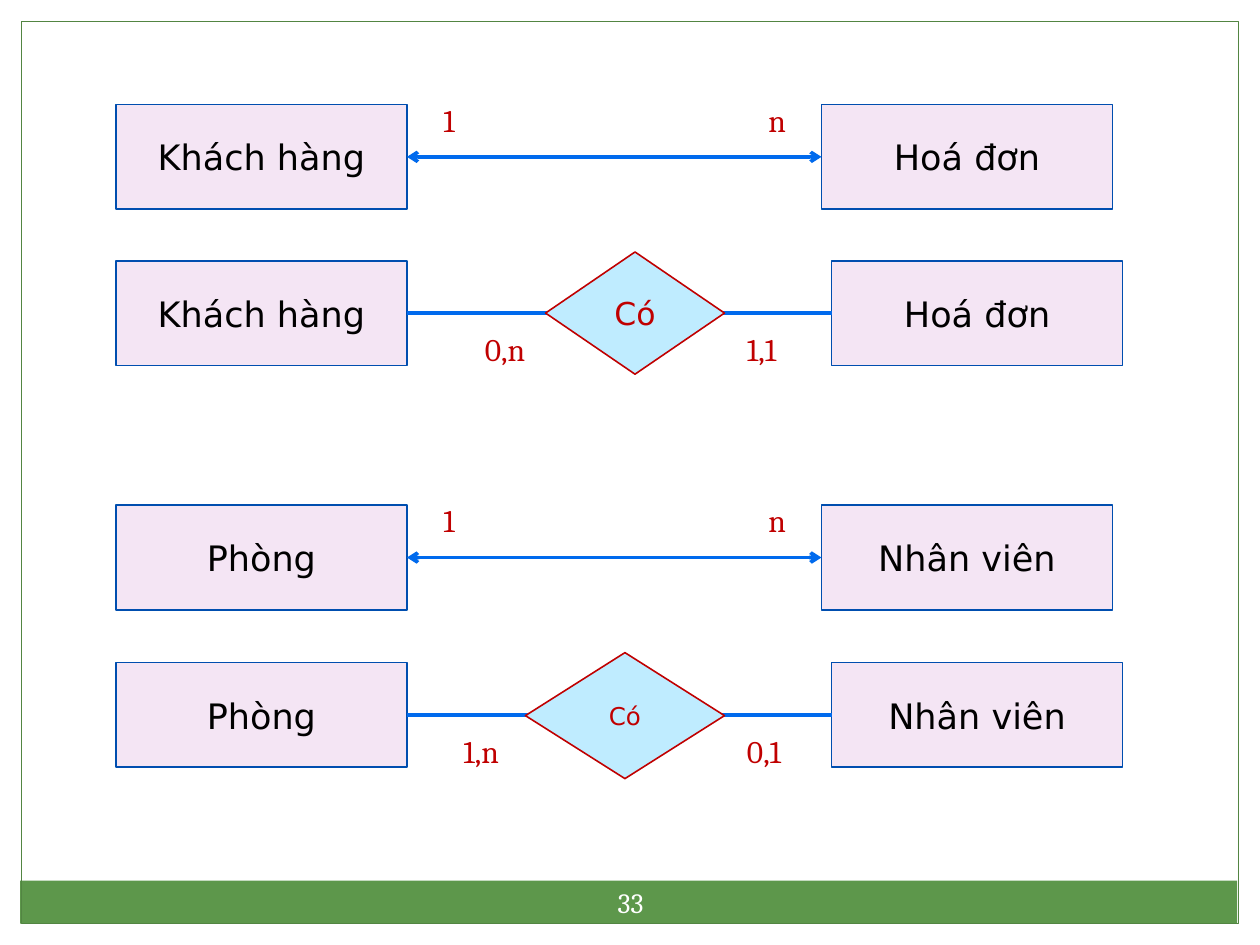
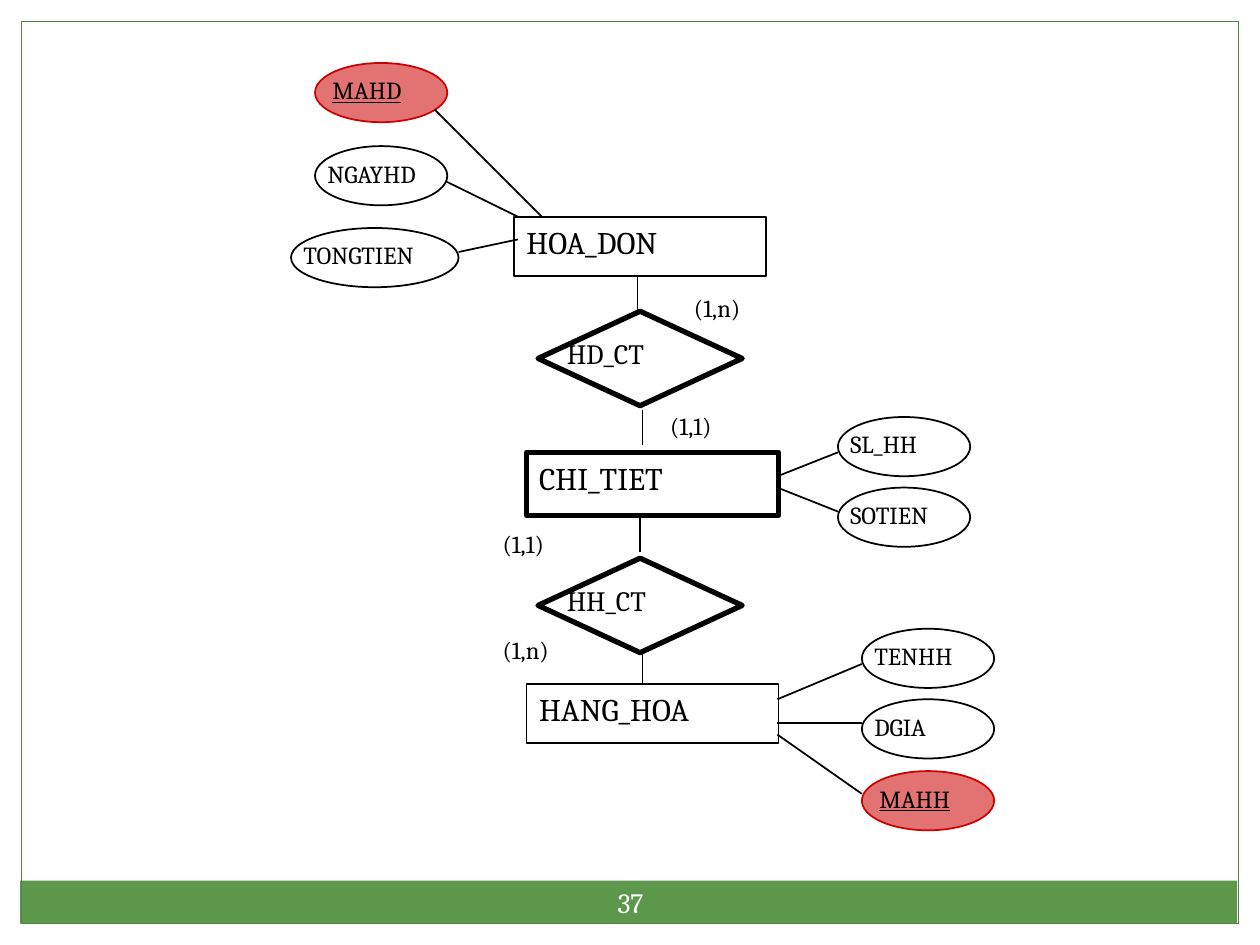
import pptx
import pptx.dml.color
import pptx.enum.shapes
import pptx.enum.text
import pptx.oxml
import pptx.oxml.ns
import pptx.util
from pptx.util import Inches

SHAPES = pptx.enum.shapes.MSO_SHAPE
ALIGN = pptx.enum.text.PP_ALIGN
ANCHOR = pptx.enum.text.MSO_ANCHOR
AUTO_SIZE = pptx.enum.text.MSO_AUTO_SIZE

BLACK, WHITE, RED = "000000", "FFFFFF", "C00000"
BAND_GREEN, FRAME_GREEN = "5D974B", "528542"
ENTITY_FILL, ENTITY_LINE = "F4E5F4", "004EAF"
DIAMOND_FILL, LINK_BLUE, KEY_RED = "BFECFF", "006AED", "CC0000"
SERIF, SANS = "Cambria", "DejaVu Sans"

# Frame shared by the slides: box, fill, line
FRAME = [
    ((0, 0, 10, 0.17), WHITE, None),
    ((9.83, 0, 0.17, 7.5), WHITE, None),
    ((0, 0, 0.17, 7.5), WHITE, None),
    ((0.16, 6.99, 9.66, 0.34), BAND_GREEN, None),
    ((0.17, 0.17, 9.66, 7.16), None, FRAME_GREEN),
]
PAGE_NUMBER_BOX = (4.67, 6.92, 0.67, 0.48)

# Slide 33: each pair of entities, first as a plain link, then as a relationship
ENTITY_SIZE = (2.31, 0.83)
LEFT_ENTITY_X, LINK_RIGHT_X, RELATIONSHIP_RIGHT_X = 0.92, 6.52, 6.6
LINK_CARDINALITIES = [("1", 3.42, 0.33), ("n", 6, 0.34)]
ENTITY_PAIRS = [
    {"names": ("Khách hàng", "Hoá đơn"), "link_top": 0.83, "relationship_top": 2.07,
     "diamond": (4.33, 2, 1.42, 0.97), "diamond_size": 18,
     "cardinalities": [("0,n", 3.75), ("1,1", 5.83)], "cardinality_top": 2.57},
    {"names": ("Phòng", "Nhân viên"), "link_top": 4.01, "relationship_top": 5.26,
     "diamond": (4.17, 5.18, 1.58, 1), "diamond_size": 14,
     "cardinalities": [("1,n", 3.58), ("0,1", 5.83)], "cardinality_top": 5.76},
]

# Slide 37: name, left, top, height, line width
TABLES = [
    ("HOA_DON", 4.08, 1.72, 0.47, 1),
    ("CHI_TIET", 4.18, 3.59, 0.5, 3),
    ("HANG_HOA", 4.18, 5.43, 0.47, 1),
]
RELATIONSHIPS = [("HD_CT", 2.47), ("HH_CT", 4.43)]
# Name, left, top, width, link start at the table, link end at the oval
ATTRIBUTES = [
    ("MAHD", 2.5, 0.5, 1.05, (4.3, 1.72), (3.45, 0.87)),
    ("NGAYHD", 2.5, 1.16, 1.05, (4.11, 1.72), (3.54, 1.44)),
    ("TONGTIEN", 2.31, 1.81, 1.33, (4.11, 1.9), (3.64, 2)),
    ("SL_HH", 6.65, 3.31, 1.05, (6.17, 3.78), (6.65, 3.59)),
    ("SOTIEN", 6.65, 3.87, 1.05, (6.17, 3.87), (6.65, 4.06)),
    ("TENHH", 6.84, 4.99, 1.05, (6.17, 5.55), (6.84, 5.27)),
    ("DGIA", 6.84, 5.55, 1.05, (6.17, 5.74), (6.84, 5.74)),
    ("MAHH", 6.84, 6.12, 1.05, (6.17, 5.83), (6.84, 6.3)),
]
KEYS = {"MAHD", "MAHH"}
# Centre, top and bottom of each vertical link
VERTICAL_LINKS = [(5.06, 2.18, 2.47), (5.1, 3.25, 3.53), (5.08, 4.1, 4.38), (5.1, 5.15, 5.43)]
CARDINALITIES = [("(1,n)", 5.41, 2.28), ("(1,1)", 5.22, 3.21),
                 ("(1,1)", 3.89, 4.15), ("(1,n)", 3.89, 4.99)]


def rgb(color):
    return pptx.dml.color.RGBColor.from_string(color)


def append_xml(parent, tag, **attributes):
    child = pptx.oxml.parse_xml(f"<a:{tag} {pptx.oxml.ns.nsdecls('a')}/>")
    for name, value in attributes.items():
        child.set(name, value)
    parent.append(child)


def write(shape, text, color, alignment=ALIGN.LEFT, **font_values):
    paragraph = shape.text_frame.paragraphs[0]
    paragraph.alignment = alignment
    run = paragraph.add_run()
    run.text = text
    values = {"name": SERIF, **font_values, "size": pptx.util.Pt(font_values["size"])}
    for name, value in values.items():
        setattr(run.font, name, value)
    run.font.color.rgb = rgb(color)


def add_outline(slide, kind, box, fill=None, line=None, width=1):
    shape = slide.shapes.add_shape(kind, *map(Inches, box))
    shape.shadow.inherit = False
    if fill:
        shape.fill.solid()
        shape.fill.fore_color.rgb = rgb(fill)
    else:
        shape.fill.background()
    if line:
        shape.line.color.rgb = rgb(line)
        shape.line.width = pptx.util.Pt(width)
    else:
        shape.line.fill.background()
    return shape


def add_label(slide, box, text, size, color=BLACK, wrap=True, **font_values):
    label = slide.shapes.add_textbox(*map(Inches, box))
    label.text_frame.word_wrap = wrap
    label.text_frame.auto_size = AUTO_SIZE.SHAPE_TO_FIT_TEXT
    write(label, text, color, size=size, **font_values)


def add_link(slide, start, end, color=BLACK, width=1, arrows=False):
    link = slide.shapes.add_connector(
        pptx.enum.shapes.MSO_CONNECTOR.STRAIGHT, *map(Inches, (*start, *end)))
    link.line.color.rgb = rgb(color)
    link.line.width = pptx.util.Pt(width)
    if arrows:
        for tag in ("headEnd", "tailEnd"):
            append_xml(link.line.fill._xPr, tag, type="arrow")
    append_xml(link.element.spPr, "effectLst")


def move_frame_to_master(presentation, slide):
    """Draw the frame on a slide and hand its shapes to the master."""
    for number, (box, fill, line) in enumerate(FRAME, start=100):
        shape = add_outline(slide, SHAPES.RECTANGLE, box, fill, line, 0.75)
        shape.element.xpath("./p:nvSpPr/p:cNvPr")[0].set("id", str(number))
        presentation.slide_master.shapes.element.append(shape.element)


def add_page_number(slide, number):
    box = slide.shapes.add_textbox(*map(Inches, PAGE_NUMBER_BOX))
    frame_values = {"word_wrap": True, "vertical_anchor": ANCHOR.MIDDLE}
    for side in ("left", "right", "top", "bottom"):
        frame_values[f"margin_{side}"] = Inches(0.05)
    for name, value in frame_values.items():
        setattr(box.text_frame, name, value)
    write(box, str(number), WHITE, ALIGN.CENTER, size=16)


def add_entities(slide, names, right_x, top):
    for name, left in zip(names, (LEFT_ENTITY_X, right_x)):
        entity = add_outline(slide, SHAPES.RECTANGLE, (left, top, *ENTITY_SIZE),
                             ENTITY_FILL, ENTITY_LINE, 0.9)
        write(entity, name, BLACK, ALIGN.CENTER, size=20, name=SANS)


def add_entity_link(slide, right_x, top, arrows=False):
    width, height = ENTITY_SIZE
    middle = top + height / 2
    add_link(slide, (LEFT_ENTITY_X + width, middle), (right_x, middle),
             LINK_BLUE, 2, arrows)


def draw_entity_pairs(slide):
    for pair in ENTITY_PAIRS:
        top = pair["link_top"]
        add_entities(slide, pair["names"], LINK_RIGHT_X, top)
        add_entity_link(slide, LINK_RIGHT_X, top, arrows=True)
        for text, left, width in LINK_CARDINALITIES:
            add_label(slide, (left, top - 0.08, width, 0.4), text, 18, RED, wrap=False)

        top = pair["relationship_top"]
        add_entities(slide, pair["names"], RELATIONSHIP_RIGHT_X, top)
        add_entity_link(slide, RELATIONSHIP_RIGHT_X, top)
        diamond = add_outline(slide, SHAPES.DIAMOND, pair["diamond"], DIAMOND_FILL, RED, 0.9)
        diamond.text_frame.word_wrap = True
        write(diamond, "Có", RED, ALIGN.CENTER, size=pair["diamond_size"], name=SANS)
        for text, left in pair["cardinalities"]:
            add_label(slide, (left, pair["cardinality_top"], 0.52, 0.4),
                      text, 18, RED, wrap=False)


def draw_invoice_diagram(slide):
    for name, top in RELATIONSHIPS:
        add_outline(slide, SHAPES.FLOWCHART_DECISION, (4.27, top, 1.62, 0.75),
                    line=BLACK, width=3)
        add_label(slide, (4.4, top + 0.15, 1.42, 0.41), name, 16)
    for name, left, top, height, width in TABLES:
        table = add_outline(slide, SHAPES.RECTANGLE, (left, top, 2, height),
                            line=BLACK, width=width)
        table.text_frame.vertical_anchor = ANCHOR.TOP
        write(table, name, BLACK, size=18)
    for name, left, top, width, start, end in ATTRIBUTES:
        is_key = name in KEYS
        color = KEY_RED if is_key else BLACK
        oval = add_outline(slide, SHAPES.OVAL, (left, top, width, 0.47),
                           KEY_RED if is_key else None, color)
        if is_key:
            append_xml(oval.element.spPr.xpath("./a:solidFill/a:srgbClr")[0],
                       "alpha", val="55000")
        indent = 0.04 if is_key else 0
        add_label(slide, (left + indent, top + 0.05, width, 0.37), name, 14,
                  underline=is_key)
        add_link(slide, start, end)
    for center, top, bottom in VERTICAL_LINKS:
        add_link(slide, (center, top), (center, bottom))
    for text, left, top in CARDINALITIES:
        add_label(slide, (left, top, 0.86, 0.37), text, 14)


def main():
    presentation = pptx.Presentation()
    presentation.slide_width, presentation.slide_height = Inches(10), Inches(7.5)
    blank_layout = presentation.slide_layouts[6]
    for number, draw in ((33, draw_entity_pairs), (37, draw_invoice_diagram)):
        slide = presentation.slides.add_slide(blank_layout)
        if len(presentation.slides) == 1:
            move_frame_to_master(presentation, slide)
        add_page_number(slide, number)
        draw(slide)
    presentation.save("out.pptx")


if __name__ == "__main__":
    main()
